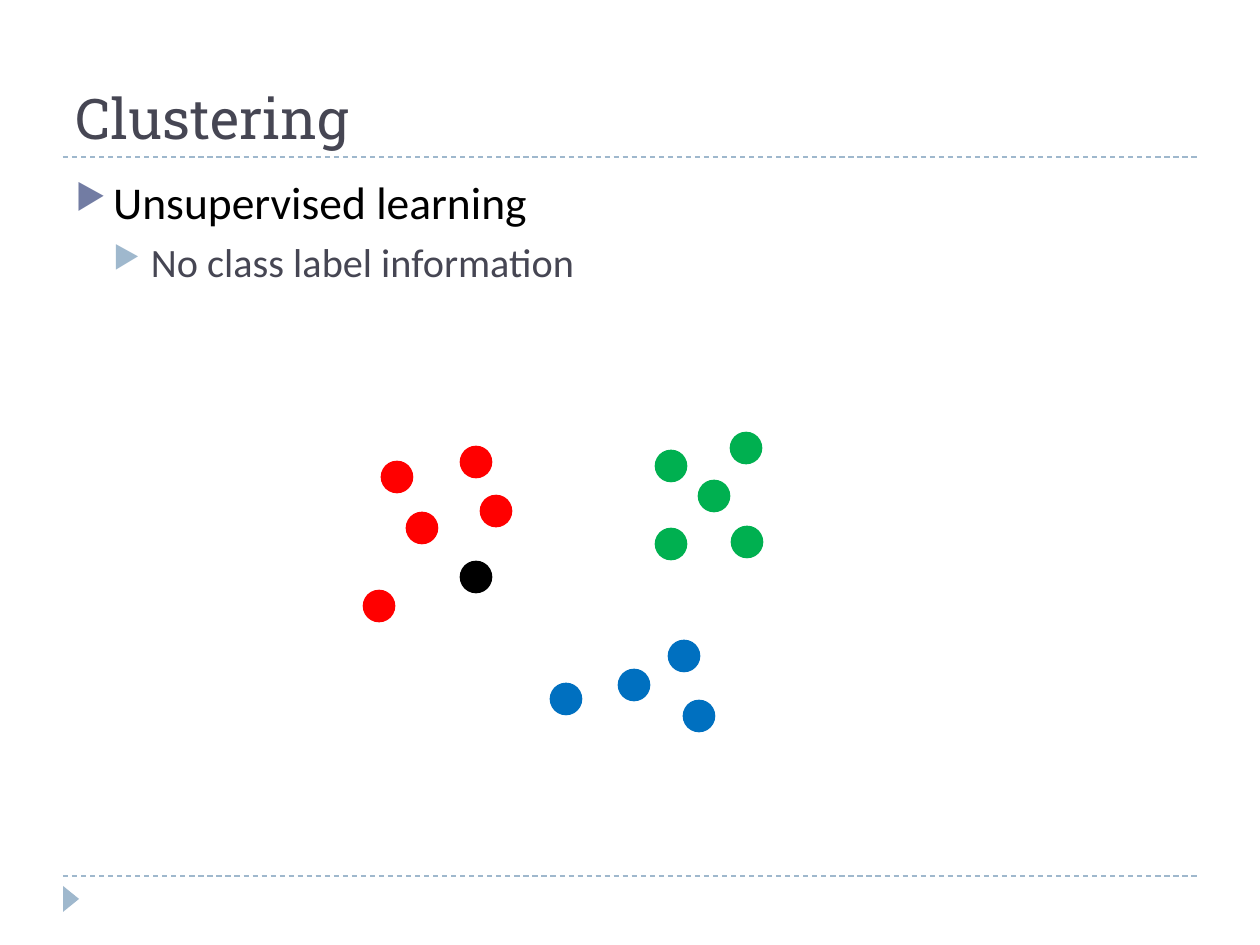
"""Build the Clustering slide: a title, two bullets and coloured data points."""
from lxml import etree
from pptx import Presentation
from pptx import util as u
from pptx.dml.color import RGBColor
from pptx.enum import dml, shapes, text
from pptx.oxml.ns import qn

PX = u.Inches(1) // 126
DOT = 30
INK, PALE, INDIGO = "464653", "9FB8CD", "727CA3"
CLUSTERS = {
    "FF0000": [(382, 462), (481, 496), (364, 591), (407, 513), (461, 447)],
    "0070C0": [(619, 670), (669, 641), (551, 684), (684, 701)],
    "00B050": [(732, 527), (699, 481), (731, 433), (656, 451), (656, 529)],
    "000000": [(461, 562)],
}


def px(*lengths):
    """Turn pixel lengths into EMU."""
    return [u.Emu(length * PX) for length in lengths]


def rgb(colour):
    """Turn a hex string into a colour."""
    return RGBColor.from_string(colour)


def add_rule(slide, y):
    """Draw a dashed rule across the content width."""
    rule = slide.shapes.add_connector(
        shapes.MSO_CONNECTOR.STRAIGHT, *px(63, y, 1197, y))
    rule.line.color.rgb = rgb(PALE)
    rule.line.width = u.Pt(0.75)
    rule.line.dash_style = dml.MSO_LINE.DASH
    etree.SubElement(rule.element.spPr, qn("a:effectLst"))


def add_solid(slide, kind, box, colour):
    """Draw a preset shape in one flat colour without an outline."""
    solid = slide.shapes.add_shape(kind, *px(*box))
    solid.shadow.inherit = False
    solid.fill.solid()
    solid.fill.fore_color.rgb = rgb(colour)
    solid.line.fill.background()
    return solid


def add_dot(slide, x, y, colour):
    """Draw one data point."""
    dot = add_solid(slide, shapes.MSO_SHAPE.OVAL, (x, y, DOT, DOT), colour)
    dot.line.color.rgb = rgb(colour)
    dot.line.width = u.Pt(1.5)


def add_run(paragraph, words, font, size, colour):
    """Add a formatted run to a paragraph."""
    run = paragraph.add_run()
    run.text = words
    run.font.name = font
    run.font.size = u.Pt(size)
    run.font.color.rgb = rgb(colour)


def set_title(slide, words):
    """Place and fill the title."""
    title = slide.shapes.title
    title.left, title.top, title.width, title.height = px(63, 21, 1134, 136)
    frame = title.text_frame
    frame.auto_size = text.MSO_AUTO_SIZE.NONE
    frame.vertical_anchor = text.MSO_ANCHOR.BOTTOM
    frame.paragraphs[0].alignment = text.PP_ALIGN.LEFT
    add_run(frame.paragraphs[0], words, "Roboto Slab", 32, INK)


def add_bullet(paragraph, words, level, size, colour, marker, before):
    """Fill a paragraph with a bulleted line."""
    paragraph.level = level
    paragraph.space_before = u.Pt(before)
    indent = u.Inches(0.3)
    props = paragraph._p.get_or_add_pPr()
    props.set("marL", str(indent * (level + 1)))
    props.set("indent", str(-indent))
    tint = etree.SubElement(props, qn("a:buClr"))
    etree.SubElement(tint, qn("a:srgbClr"), val=marker)
    etree.SubElement(props, qn("a:buSzPct"), val="76000")
    etree.SubElement(props, qn("a:buChar"), char="▶")
    add_run(paragraph, words, "Calibri", size, colour)


def add_body(slide):
    """Add the two-level bullet list."""
    frame = slide.shapes.add_textbox(*px(63, 168, 1134, 680)).text_frame
    frame.word_wrap = True
    add_bullet(frame.paragraphs[0], "Unsupervised learning",
               0, 26, "000000", INDIGO, 6)
    add_bullet(frame.add_paragraph(), "No class label information",
               1, 23, INK, PALE, 5)


def main():
    """Build and save the slide."""
    deck = Presentation()
    deck.slide_width, deck.slide_height = px(1260, 945)
    slide = deck.slides.add_slide(deck.slide_layouts[5])
    for y in (876, 157):
        add_rule(slide, y)
    corner = add_solid(slide, shapes.MSO_SHAPE.ISOSCELES_TRIANGLE,
                       (58, 891, 26, 16), PALE)
    corner.rotation = 90
    set_title(slide, "Clustering")
    add_body(slide)
    for colour, points in CLUSTERS.items():
        for x, y in points:
            add_dot(slide, x, y, colour)
    deck.save("out.pptx")


if __name__ == "__main__":
    main()
